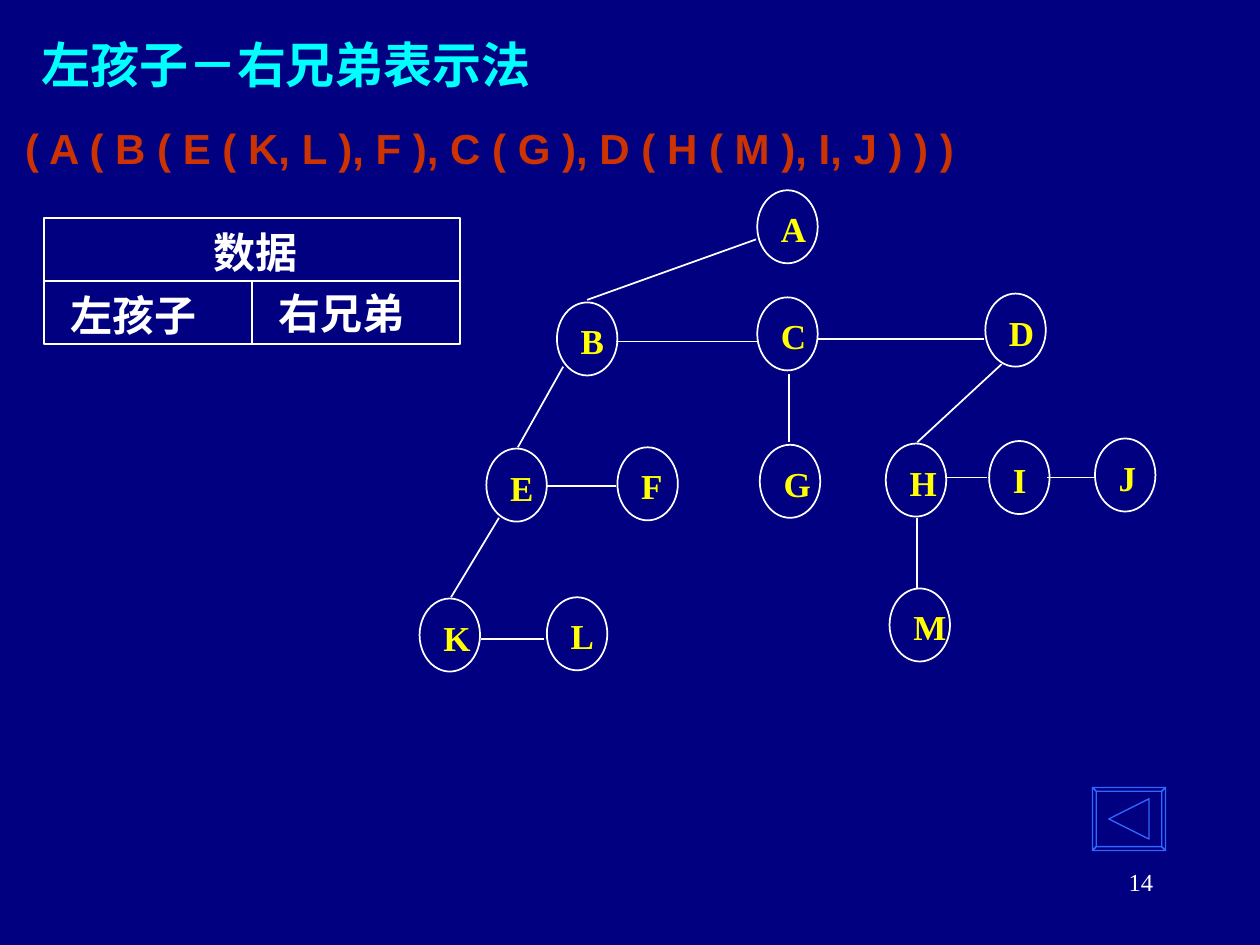
from lxml.etree import SubElement
from pptx import Presentation
from pptx.dml.color import RGBColor
from pptx.enum.shapes import MSO_CONNECTOR, MSO_SHAPE
from pptx.enum.text import MSO_ANCHOR, PP_ALIGN
from pptx.oxml.ns import qn
from pptx.util import Inches, Pt

NODES = [
    ("A", 6.01, 1.51, 0.4), ("B", 4.42, 2.4, 0.39), ("C", 6.01, 2.36, 0.4),
    ("D", 7.82, 2.33, 0.4), ("E", 3.86, 3.56, 0.39), ("F", 4.9, 3.55, 0.37),
    ("G", 6.03, 3.53, 0.42), ("H", 7.03, 3.52, 0.42), ("I", 7.85, 3.5, 0.31),
    ("J", 8.69, 3.48, 0.34), ("K", 3.33, 4.75, 0.42), ("L", 4.34, 4.74, 0.39),
    ("M", 7.06, 4.67, 0.46),
]
CHILD_EDGES = [
    (6, 1.9, 4.66, 2.38), (4.47, 2.91, 4.11, 3.55), (3.96, 4.11, 3.58, 4.74),
    (6.26, 2.97, 6.26, 3.51), (7.95, 2.89, 7.28, 3.51), (7.28, 4.11, 7.28, 4.67),
]
SIBLING_EDGES = [
    (4.89, 6.02, 2.71), (6.49, 7.81, 2.69), (4.34, 4.89, 3.86),
    (7.51, 7.83, 3.79), (8.31, 8.69, 3.79), (3.82, 4.32, 5.07),
]


def color(value):
    """Turn a hex string into a colour."""
    return RGBColor.from_string(value)


def write(box, text, size=20, fill="FFFFFF", bold=True, font="Times New Roman",
          align=PP_ALIGN.LEFT, anchor=MSO_ANCHOR.TOP, wrap=False):
    """Put one formatted line of text into a box."""
    frame = box.text_frame
    frame.word_wrap = wrap
    frame.vertical_anchor = anchor
    para = frame.paragraphs[0]
    para.alignment = align
    span = para.add_run()
    span.text = text
    span.font.size = Pt(size)
    span.font.name = font
    span.font.bold = bold
    span.font.color.rgb = color(fill)


class TreePage:
    """Hold the line style and the current slide."""

    def __init__(self, page, ink="FFFFFF", weight=1):
        self.page = page
        self.ink = ink
        self.weight = weight

    def text(self, left, top, width, height, words, **style):
        box = self.page.shapes.add_textbox(
            Inches(left), Inches(top), Inches(width), Inches(height))
        write(box, words, **style)

    def outline(self, kind, left, top, width, height):
        shape = self.page.shapes.add_shape(
            kind, Inches(left), Inches(top), Inches(width), Inches(height))
        self.style_outline(shape, self.ink, self.weight)
        return shape

    def style_outline(self, shape, ink, weight):
        shape.shadow.inherit = False
        shape.fill.background()
        shape.line.color.rgb = color(ink)
        shape.line.width = Pt(weight)

    def line(self, x1, y1, x2, y2):
        edge = self.page.shapes.add_connector(
            MSO_CONNECTOR.STRAIGHT, Inches(x1), Inches(y1), Inches(x2), Inches(y2))
        edge.line.color.rgb = color(self.ink)
        edge.line.width = Pt(self.weight)
        SubElement(edge._element.spPr, qn("a:effectLst"))
        return edge

    def node(self, name, left, top, label_width):
        self.outline(MSO_SHAPE.OVAL, left, top, 0.48, 0.58)
        self.text(left + 0.09, top + 0.09, label_width, 0.43, name, fill="FFFF00")

    def record(self, left, top, width, height):
        frame = self.outline(MSO_SHAPE.RECTANGLE, left, top, width, height)
        center, middle = left + width / 2, top + height / 2
        divider = self.line(left, middle, left + width, middle)
        divider.begin_connect(frame, 1)
        divider.end_connect(frame, 3)
        split = self.line(center, middle, center, top + height)
        split.end_connect(frame, 2)

    def back_button(self, left, top, right, bottom, bevel=0.03):
        outer = [(left, top), (right, top), (right, bottom), (left, bottom)]
        inner = [(left + bevel, top + bevel), (right - bevel, top + bevel),
                 (right - bevel, bottom - bevel), (left + bevel, bottom - bevel)]
        sides = [[outer[i - 1], outer[i], inner[i], inner[i - 1]] for i in range(4)]
        middle = (top + bottom) / 2
        arrow = [(right - 0.13, middle - 0.16), (left + 0.13, middle),
                 (right - 0.13, middle + 0.16)]
        builder = self.page.shapes.build_freeform(
            Inches(left), Inches(top), scale=1.0)
        builder.add_line_segments([(Inches(x), Inches(y)) for x, y in outer[1:]])
        for contour in sides + [arrow]:
            points = [(Inches(x), Inches(y)) for x, y in contour]
            builder.move_to(*points[0])
            builder.add_line_segments(points[1:])
        self.style_outline(builder.convert_to_shape(), "3366FF", 0.75)


def main():
    """Build and save the slide."""
    deck = Presentation()
    deck.slide_width, deck.slide_height = Inches(10), Inches(7.5)
    page = deck.slides.add_slide(deck.slide_layouts[6])
    page.background.fill.solid()
    page.background.fill.fore_color.rgb = color("000080")
    tree = TreePage(page)

    tree.text(0.23, 0.17, 4.35, 0.67, "左孩子－右兄弟表示法", size=28,
              fill="00FFFF", anchor=MSO_ANCHOR.MIDDLE)
    tree.text(0.1, 0.92, 7.98, 0.5,
              "( A ( B ( E ( K, L ), F ), C ( G ), D ( H ( M ), I, J ) ) )",
              size=24, fill="CC3300", font="Arial", wrap=True)
    for node in NODES:
        tree.node(*node)
    for edge in CHILD_EDGES:
        tree.line(*edge)
    for start, end, level in SIBLING_EDGES:
        tree.line(start, level, end, level)

    tree.record(0.35, 1.73, 3.3, 1)
    tree.text(1.6, 1.75, 0.87, 0.5, "数据", size=24)
    tree.text(0.46, 2.25, 1.2, 0.5, "左孩子", size=24, align=PP_ALIGN.CENTER)
    tree.text(2.11, 2.23, 1.2, 0.5, "右兄弟", size=24)

    tree.back_button(8.67, 6.25, 9.25, 6.75)
    tree.text(7.17, 6.83, 2.08, 0.5, "14", size=14, bold=False,
              align=PP_ALIGN.RIGHT, wrap=True)
    deck.save("out.pptx")


if __name__ == "__main__":
    main()
